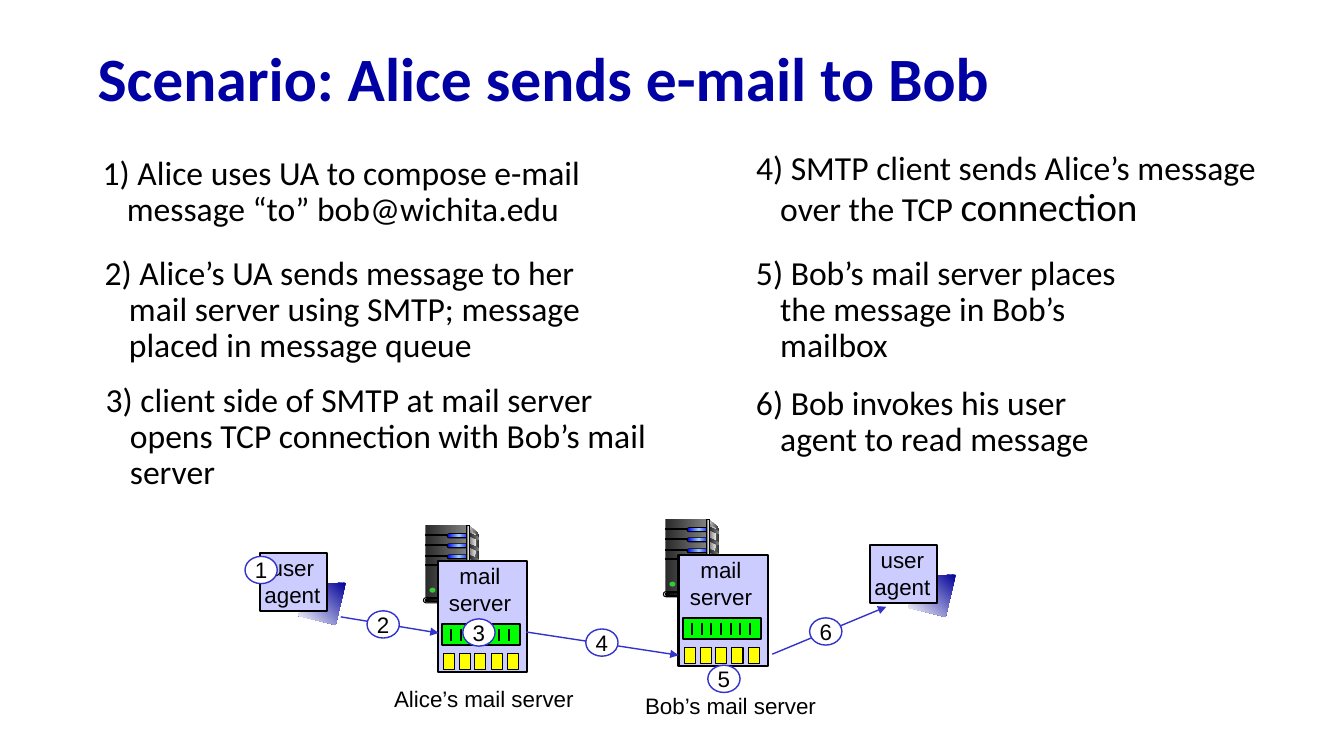
from copy import deepcopy
from lxml import etree
from pptx import Presentation, util as u
from pptx.dml.color import RGBColor
from pptx.enum import shapes, text
from pptx.oxml.ns import qn

HEX = {"title": "0000A3", "black": "000000", "white": "FFFFFF", "lilac": "CCCCFF", "navy": "000099",
       "queue": "00FF00", "mail": "FFFF00", "arrow": "3333CC", "coal": "292929", "iron": "333333",
       "grey": "808080", "silver": "DDDDDD", "pale": "F8F8F8", "blue": "0000FF", "sky": "99CCFF",
       "go": "33CC33"}
CELL = u.Inches(0.01)  # the slide is a grid of 1333 columns and 750 rows
RECT, PILL, OVAL = (shapes.MSO_SHAPE.RECTANGLE, shapes.MSO_SHAPE.ROUNDED_RECTANGLE,
                    shapes.MSO_SHAPE.OVAL)
CENTER, LEFT = text.PP_ALIGN.CENTER, text.PP_ALIGN.LEFT

deck = Presentation()
deck.slide_width, deck.slide_height = 1333 * CELL, 750 * CELL
page = deck.slides.add_slide(deck.slide_layouts[6])


def draw(outline, fills, line=None, weight=0.75, angle=0):
    """Draw (preset, left, top, width, height) or a list of corners; several fills make a gradient."""
    if isinstance(outline, list):
        builder = page.shapes.build_freeform(*outline[0], scale=CELL)
        builder.add_line_segments(outline[1:])
        shape = builder.convert_to_shape()
    else:
        shape = page.shapes.add_shape(outline[0], *(cells * CELL for cells in outline[1:]))
        if outline[0] == PILL:
            shape.adjustments[0] = 0.5
    shape.shadow.inherit = False
    if len(fills) == 1:
        shape.fill.solid()
        shape.fill.fore_color.rgb = RGBColor.from_string(HEX[fills[0]])
    else:
        shape.fill.gradient()
        shape.fill.gradient_angle = angle
        stop_list = next(shape._element.iter(qn("a:gsLst")))
        for _ in fills[2:]:
            stop_list.append(deepcopy(stop_list[0]))
        for number, (stop, name) in enumerate(zip(shape.fill.gradient_stops, fills)):
            stop.position = number / (len(fills) - 1)
            stop.color.rgb = RGBColor.from_string(HEX[name])
    if line:
        shape.line.color.rgb = RGBColor.from_string(HEX[line])
        shape.line.width = u.Pt(weight)
    else:
        shape.line.fill.background()
    return shape


def write(box, lines, size=16, font="Arial", align=CENTER, color="black", wrap=False):
    frame = box.text_frame
    frame.word_wrap = wrap
    for number, line in enumerate(lines):
        para = frame.add_paragraph() if number else frame.paragraphs[0]
        para.text = line
        para.alignment = align
        para.font.size, para.font.name = u.Pt(size), font
        para.font.color.rgb = RGBColor.from_string(HEX[color])
    return frame


title = page.shapes.add_textbox(87 * CELL, 32 * CELL, 1150 * CELL, 98 * CELL)
frame = write(title, ["Scenario: Alice sends e-mail to Bob"], 44, "Calibri", LEFT, "title", True)
frame.vertical_anchor = text.MSO_ANCHOR.MIDDLE
frame.paragraphs[0].font.bold = True
frame.paragraphs[0].line_spacing = 0.9

steps = [
    (77, 150, 555, 126, "1) Alice uses UA to compose e-mail message “to” bob@wichita.edu"),
    (79, 249, 555, 121, "2) Alice’s UA sends message to her mail server using SMTP; message placed in message queue"),
    (80, 375, 596, 119, "3) client side of SMTP at mail server opens TCP connection with Bob’s mail server"),
    (725, 145, 555, 103, "4) SMTP client sends Alice’s message over the TCP "),
    (725, 249, 417, 91, "5) Bob’s mail server places the message in Bob’s mailbox"),
    (725, 378, 417, 91, "6) Bob invokes his user agent to read message"),
]
for *place, words in steps:
    box = page.shapes.add_textbox(*(cells * CELL for cells in place))
    para = write(box, [words], 24, "Calibri", LEFT, wrap=True).paragraphs[0]
    para.line_spacing = 0.9
    para._p.get_or_add_pPr().set("marL", str(39 * CELL))
    para._p.get_or_add_pPr().set("indent", str(-24 * CELL))
    if words.startswith("4)"):
        span = para.add_run()
        span.text = "connection"
        span.font.size = u.Pt(28)

# User agents
for x, y in [(258, 549), (863, 541)]:
    screen = [(85, 29), (45, 31), (38, 62), (75, 71)]
    draw([(x + dx, y + dy) for dx, dy in screen], ["navy", "white"], angle=225)
    draw((RECT, x, y, 66, 57), ["lilac"], "black", 1.5)
    label = page.shapes.add_textbox((x - 6) * CELL, (y - 4) * CELL, 76 * CELL, 64 * CELL)
    write(label, ["user", "agent"])

# Server towers
for x, y in [(658, 515), (420, 521)]:
    side = [(46, 1), (55, 9), (55, 70), (44, 73)]
    edge = [(46, 5), (53, 11), (48, 60), (46, 71)]
    draw([(x + dx, y + dy) for dx, dy in side], ["silver", "iron"])
    draw((RECT, x + 2, y, 41, 72), ["coal", "grey"])
    draw([(x + dx, y + dy) for dx, dy in edge], ["grey", "pale"])
    for row in (9, 19, 30, 39):
        draw((RECT, x + 2, y + row, 23, 1), ["black"], "black")
    for row in (9, 19, 30):
        draw((PILL, x + 23, y + row - 1, 23, 5), ["black"])
        draw((PILL, x + 24, y + row, 22, 3), ["blue", "sky", "blue"])
    draw((RECT, x + 43, y, 3, 72), ["iron", "silver", "iron"], "black")
    for row in (8, 19, 30):
        vent = [(46, row), (55, row + 4), (55, row + 7), (46, row + 3)]
        draw([(x + dx, y + dy) for dx, dy in vent], ["coal", "grey"])
    draw((PILL, x, y + 72, 47, 5), ["silver"], "black")
    draw((PILL, x + 2, y + 73, 42, 3), ["black", "grey"], "black")
    draw((OVAL, x + 6, y + 62, 6, 5), ["go"])

# Mail servers, with a message queue and mailboxes; the ticks join the arrows as lines
lines = []
for x, y in [(434, 557), (673, 551)]:
    draw((RECT, x, y, 89, 110), ["lilac"], "black", 1.5)
    label = page.shapes.add_textbox((x + 1) * CELL, (y - 4) * CELL, 82 * CELL, 64 * CELL)
    write(label, ["mail", "server"])
    draw((RECT, x + 4, y + 62, 78, 21), ["queue"], "black", 1.5)
    for tick in range(7):
        column = x + 13 + round(tick * 9.7)
        lines.append((column, y + 67, column, y + 79, "black", 1.5))
    for mailbox in range(5):
        draw((RECT, x + 6 + round(mailbox * 15.7), y + 91, 11, 16), ["mail"], "black")

lines += [(338, 612, 435, 628, "arrow", 1), (522, 627, 673, 650, "arrow", 1),
          (766, 649, 879, 602, "arrow", 1)]
for *ends, color, weight in lines:
    link = page.shapes.add_connector(shapes.MSO_CONNECTOR.STRAIGHT, *(cells * CELL for cells in ends))
    link.line.color.rgb = RGBColor.from_string(HEX[color])
    link.line.width = u.Pt(weight)
    if color == "arrow":
        etree.SubElement(link.line._get_or_add_ln(), qn("a:tailEnd"), type="triangle")
    etree.SubElement(link._element.spPr, qn("a:effectLst"))

badges = [(243, 552), (364, 606), (459, 614), (581, 624), (702, 660), (803, 613)]
for number, (x, y) in enumerate(badges, 1):
    badge = draw((OVAL, x, y, 32, 27), ["white"], "arrow", 1)
    write(badge, [str(number)]).vertical_anchor = text.MSO_ANCHOR.MIDDLE

for x, y, width, owner in [(381, 675, 199, "Alice"), (630, 682, 190, "Bob")]:
    label = page.shapes.add_textbox(x * CELL, y * CELL, width * CELL, 37 * CELL)
    write(label, [f"{owner}’s mail server"], align=LEFT)

deck.save("out.pptx")
